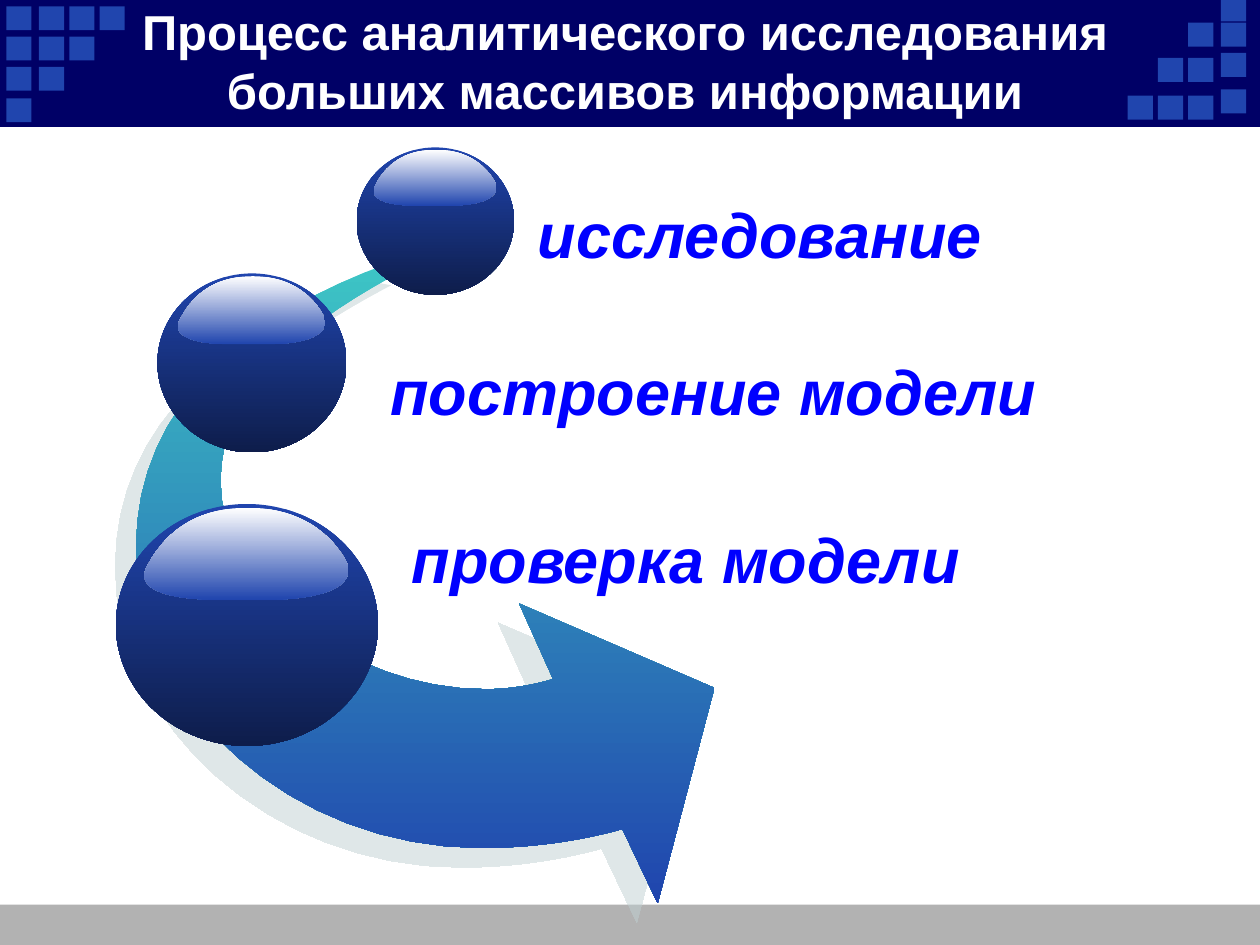
import pptx
import pptx.util
import pptx.dml.color
import pptx.enum.shapes
import pptx.enum.text
import pptx.oxml
import pptx.oxml.ns

Inches = pptx.util.Inches
RGB = pptx.dml.color.RGBColor
SHAPE = pptx.enum.shapes.MSO_SHAPE

WHITE = RGB(0xFF, 0xFF, 0xFF)
GREY = RGB(0xB2, 0xB2, 0xB2)
NAVY = RGB(0x00, 0x00, 0x66)
BLUE = RGB(0x20, 0x45, 0xAE)
DARK_BLUE = RGB(0x0E, 0x1D, 0x4B)
TEAL = RGB(0x3D, 0xC5, 0xC5)
LABEL_BLUE = RGB(0x00, 0x00, 0xFF)
SHADOW = RGB(0xC1, 0xD1, 0xD3)

TITLE_FONT = dict(name="Arial", size=pptx.util.Pt(28), bold=True)
LABEL_FONT = dict(name="Arial", size=pptx.util.Pt(36), bold=True, italic=True)

SQUARE = (0.2, 0.19)
LEFT_ROWS = [0.05, 0.29, 0.53, 0.78]
LEFT_COLUMNS = {x: LEFT_ROWS[:4 - i] for i, x in enumerate([0.05, 0.31, 0.55, 0.79])}
RIGHT_ROWS = [0.18, 0.46, 0.76]
RIGHT_COLUMNS = {x: RIGHT_ROWS[i:] for i, x in enumerate([9.43, 9.19, 8.95])}
RIGHT_COLUMNS[9.69] = [-0.02, 0.18, 0.42, 0.71]

CURVE_STEPS = 16

ARROW_SIZE = (4.59, 5.09)
ARROW_TAIL = (2.03, 0)
ARROW_OUTER_EDGE = [
    [(0.93, 0.4), (0, 1.1), (0, 2.27)],
    [(0, 3.52), (1.23, 4.65), (2.74, 4.65)],
    [(3.12, 4.65), (3.5, 4.6), (3.86, 4.5)]]
ARROW_HEAD = [[(4.14, 5.09)], [(4.59, 3.38)], [(3.04, 2.71)], [(3.31, 3.31)]]
ARROW_INNER_EDGE = [
    [(3.14, 3.36), (2.96, 3.39), (2.77, 3.39)],
    [(1.67, 3.39), (0.67, 2.56), (0.67, 1.74)],
    [(0.67, 0.98), (1.36, 0.46), (2.19, 0.03)]]
ARROW_EDGES = ARROW_OUTER_EDGE + ARROW_HEAD + ARROW_INNER_EDGE

SPHERE_SIZE = (2.08, 1.92)
GLOSS_TOP = (1.05, 0.03)
GLOSS_EDGES = [
    [(1.38, 0.03), (1.66, 0.17), (1.82, 0.44)],
    [(1.94, 0.67), (1.6, 0.76), (1.2, 0.76)],
    [(0.81, 0.76)],
    [(0.42, 0.76), (0.14, 0.68), (0.25, 0.49)],
    [(0.42, 0.17), (0.7, 0.03), GLOSS_TOP]]

SPHERES = [(2.83, 1.17, 1.25, 1.17), (1.25, 2.17, 1.5, 1.42), (0.92, 4, 2.08, 1.92)]
LABELS = [("исследование", (4.17, 1.5, 4.67, 0.71)),
          ("построение модели", (3, 2.75, 6, 0.71)),
          ("проверка модели", (3.17, 4.08, 6, 0.71))]


def set_values(obj, values):
    for name, value in values.items():
        setattr(obj, name, value)


def format_font(font, values, color):
    set_values(font, values)
    font.color.rgb = color


def paint(sp, *colors):
    sp.shadow.inherit = False
    sp.line.fill.background()
    if len(colors) == 1:
        sp.fill.solid()
        sp.fill.fore_color.rgb = colors[0]
        return
    sp.fill.gradient()
    sp.fill.gradient_angle = 270
    for stop, color in zip(sp.fill.gradient_stops, colors):
        stop.color.rgb = color


def add_preset(shapes, kind, box, *colors):
    sp = shapes.add_shape(kind, *map(Inches, box))
    paint(sp, *colors)
    return sp


def curve_point(t, start, control1, control2, end):
    u = 1 - t
    weights = (u ** 3, 3 * u * u * t, 3 * u * t * t, t ** 3)
    return tuple(sum(w * value for w, value in zip(weights, axis))
                 for axis in zip(start, control1, control2, end))


def trace(start, edges):
    pts = [start]
    for edge in edges:
        if len(edge) == 1:
            pts += edge
        else:
            begin = pts[-1]
            pts += [curve_point(i / CURVE_STEPS, begin, *edge)
                    for i in range(1, CURVE_STEPS + 1)]
    return pts


def add_outline(shapes, start, edges, size, box, *colors):
    left, top, width, height = box
    pts = [(Inches(left + x * width / size[0]), Inches(top + y * height / size[1]))
           for x, y in trace(start, edges)]
    builder = shapes.build_freeform(*pts[0], scale=1.0)
    builder.add_line_segments(pts[1:], close=True)
    sp = builder.convert_to_shape()
    paint(sp, *colors)
    return sp


def add_squares(s, columns):
    group = s.shapes.add_group_shape()
    for x, tops in columns.items():
        for y in tops:
            add_preset(group.shapes, SHAPE.RECTANGLE, (x, y, *SQUARE), BLUE)


def add_header(s, box):
    banner = add_preset(s.shapes, SHAPE.RECTANGLE, box, NAVY)
    banner.line.color.rgb = NAVY
    banner.line.width = pptx.util.Pt(0.75)
    add_squares(s, LEFT_COLUMNS)
    add_squares(s, RIGHT_COLUMNS)
    left, top, width, height = box
    title = s.shapes.title
    s.shapes._spTree.append(title._element)
    set_values(title, dict(left=Inches(left + 0.92), top=Inches(top + 0.17),
                           width=Inches(width - 1.92), height=Inches(height - 0.38)))
    tf = title.text_frame
    set_values(tf, dict(word_wrap=True, auto_size=pptx.enum.text.MSO_AUTO_SIZE.NONE,
                        vertical_anchor=pptx.enum.text.MSO_ANCHOR.MIDDLE))
    p = tf.paragraphs[0]
    p.alignment = pptx.enum.text.PP_ALIGN.CENTER
    r = p.add_run()
    r.text = "Процесс аналитического исследования больших массивов информации"
    format_font(r.font, TITLE_FONT, WHITE)


def add_arrow(s, box):
    sp = add_outline(s.shapes, ARROW_TAIL, ARROW_EDGES, ARROW_SIZE, box, TEAL, BLUE)
    effects = sp._element.spPr.find(pptx.oxml.ns.qn("a:effectLst"))
    effects.append(pptx.oxml.parse_xml(
        f'<a:outerShdw {pptx.oxml.ns.nsdecls("a")} dist="{pptx.util.Pt(16.3)}" '
        f'dir="{137 * 60000}" algn="ctr" rotWithShape="0">'
        f'<a:srgbClr val="{SHADOW}"><a:alpha val="50000"/></a:srgbClr></a:outerShdw>'))


def add_sphere(s, box):
    group = s.shapes.add_group_shape()
    add_preset(group.shapes, SHAPE.OVAL, box, BLUE, DARK_BLUE)
    add_outline(group.shapes, GLOSS_TOP, GLOSS_EDGES, SPHERE_SIZE, box, WHITE, BLUE)


def add_label(s, text, box):
    tf = s.shapes.add_textbox(*map(Inches, box)).text_frame
    tf.word_wrap = True
    tf.auto_size = pptx.enum.text.MSO_AUTO_SIZE.SHAPE_TO_FIT_TEXT
    r = tf.paragraphs[0].add_run()
    r.text = text
    format_font(r.font, LABEL_FONT, LABEL_BLUE)


def main():
    prs = pptx.Presentation()
    prs.slide_width, prs.slide_height = Inches(10), Inches(7.5)
    s = prs.slides.add_slide(prs.slide_layouts[5])
    add_preset(s.shapes, SHAPE.RECTANGLE, (0, 7.18, 10, 0.32), GREY)
    add_header(s, (0, 0, 10, 1))
    add_arrow(s, (1.08, 2.08, *ARROW_SIZE))
    for box in SPHERES:
        add_sphere(s, box)
    for text, box in LABELS:
        add_label(s, text, box)
    prs.save("out.pptx")


if __name__ == "__main__":
    main()
